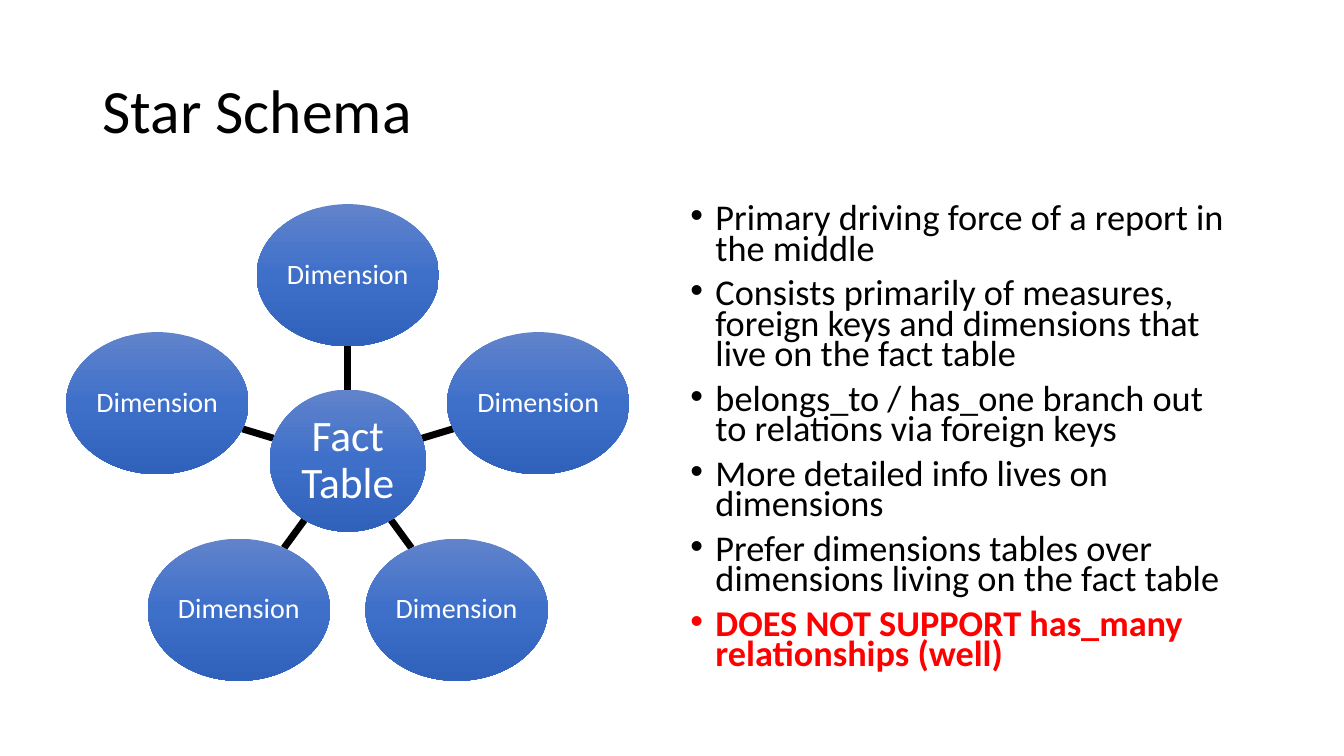
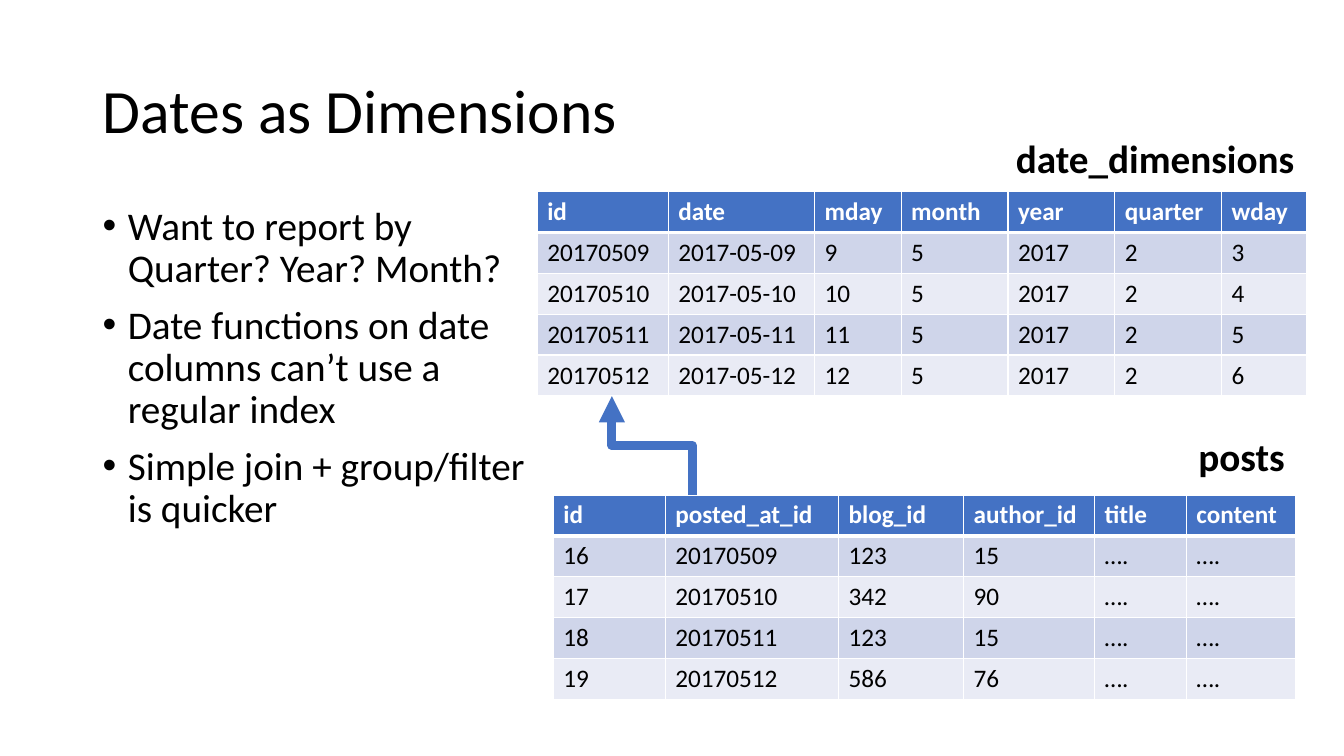
from math import hypot

from pptx import Presentation
from pptx.dml.color import RGBColor as RGB
from pptx.enum.shapes import MSO_CONNECTOR as CXN, MSO_SHAPE as SHAPE
from pptx.enum.text import MSO_ANCHOR as ANCHOR, MSO_AUTO_SIZE as AUTO, PP_ALIGN as ALIGN
from pptx.oxml import parse_xml
from pptx.oxml.ns import nsdecls
from pptx.util import Emu, Pt

PX = 9144  # 100 px to the inch


class Theme:
    font = "Calibri"
    black, white, red = (RGB.from_string(c) for c in ("000000", "FFFFFF", "FF0000"))
    blue = RGB.from_string("4472C4")
    bands = [RGB.from_string(c) for c in ("E9EBF5", "CFD5EA")]
    gradient = ((0, "6183CB"), (50, "3E70CA"), (100, "3062BB"))
    title = {"size": Pt(44)}
    label = {"size": Pt(28), "bold": True}
    body = {"size": Pt(28)}
    dense = {"size": Pt(25.9)}
    warning = {"size": Pt(25.9), "bold": True, "color": red}
    hub = {"size": Pt(31), "color": white}
    dimension = {"size": Pt(20), "color": white}
    cell = {"size": Pt(18)}
    header = {"size": Pt(18), "bold": True, "color": white}


def write(tf, lines, para=None, bullet=False):
    """Fill a text frame with (text, font format) paragraphs."""
    for i, (text, fmt) in enumerate(lines):
        p = tf.add_paragraph() if i else tf.paragraphs[0]
        for name, value in (para or {}).items():
            setattr(p, name, value)
        if bullet:
            pPr = p._p.get_or_add_pPr()
            pPr.set("marL", str(25 * PX))
            pPr.set("indent", str(-25 * PX))
            pPr.append(parse_xml(f'<a:buFont {nsdecls("a")} typeface="Arial"/>'))
            pPr.append(parse_xml(f'<a:buChar {nsdecls("a")} char="•"/>'))
        r = p.add_run()
        r.text = text
        r.font.color.rgb = fmt.get("color", Theme.black)
        for name, value in {"name": Theme.font, **fmt}.items():
            if name != "color":
                setattr(r.font, name, value)


def connect(s, kind, ends, color, width):
    """Draw a flat connector between two points in px."""
    cx = s.shapes.add_connector(kind, *(Emu(round(v * PX)) for v in ends))
    cx.line.color.rgb = color
    cx.line.width = Pt(width)
    cx._element.spPr.append(parse_xml(f'<a:effectLst {nsdecls("a")}/>'))
    return cx


prs = Presentation()
prs.slide_width, prs.slide_height = Emu(12192000), Emu(6858000)

# Titles and bullet lists
pages = [
    ("Star Schema", (675, 200, 567, 476), 0.7, [
        ("Primary driving force of a report in the middle", Theme.dense),
        ("Consists primarily of measures, foreign keys and dimensions that live on the fact table",
         Theme.dense),
        ("belongs_to / has_one branch out to relations via foreign keys", Theme.dense),
        ("More detailed info lives on dimensions", Theme.dense),
        ("Prefer dimensions tables over dimensions living on the fact table", Theme.dense),
        ("DOES NOT SUPPORT has_many relationships (well)", Theme.warning)]),
    ("Dates as Dimensions", (92, 200, 446, 476), 0.9, [
        ("Want to report by Quarter? Year? Month?", Theme.body),
        ("Date functions on date columns can’t use a regular index", Theme.body),
        ("Simple join + group/filter is quicker", Theme.body)]),
]
for title, box, spacing, bullets in pages:
    s = prs.slides.add_slide(prs.slide_layouts[6])
    tf = s.shapes.add_textbox(*(v * PX for v in (92, 40, 1150, 145))).text_frame
    tf.word_wrap, tf.vertical_anchor = True, ANCHOR.MIDDLE
    write(tf, [(title, Theme.title)], {"line_spacing": 0.9})
    tf = s.shapes.add_textbox(*(v * PX for v in box)).text_frame
    tf.word_wrap = True
    write(tf, bullets, {"line_spacing": spacing, "space_before": Pt(10)}, bullet=True)
star, dates = prs.slides

# Star: spokes from the edge of the hub to the edge of each dimension
hub_x, hub_y = 345, 457
hub_w, dim_w, oval_h = 155, 181, 141
offsets = [(0, -184), (189, -57), (108, 148), (-108, 148), (-189, -57)]
for dx, dy in offsets:
    start = 1 / hypot(dx / (hub_w / 2), dy / (oval_h / 2))
    end = 1 - 1 / hypot(dx / (dim_w / 2), dy / (oval_h / 2))
    connect(star, CXN.STRAIGHT, (hub_x + dx * start, hub_y + dy * start,
                                 hub_x + dx * end, hub_y + dy * end), Theme.black, 5)

# Star: ovals
ovals = [(0, 0, hub_w, "Fact Table", Theme.hub)]
ovals += [(dx, dy, dim_w, "Dimension", Theme.dimension) for dx, dy in offsets]
stops = "".join(f'<a:gs pos="{pos * 1000}"><a:srgbClr val="{c}"/></a:gs>'
                for pos, c in Theme.gradient)
for dx, dy, w, text, fmt in ovals:
    sp = star.shapes.add_shape(SHAPE.OVAL, *(round(v * PX) for v in (
        hub_x + dx - w / 2, hub_y + dy - oval_h / 2, w, oval_h)))
    sp.shadow.inherit = False
    sp.line.fill.background()
    sp._element.spPr.prstGeom.addnext(parse_xml(
        f'<a:gradFill {nsdecls("a")} rotWithShape="1"><a:gsLst>{stops}</a:gsLst>'
        '<a:lin ang="5400000" scaled="0"/></a:gradFill>'))
    tf = sp.text_frame
    tf.word_wrap, tf.vertical_anchor = True, ANCHOR.MIDDLE
    for side in ("left", "top", "right", "bottom"):
        setattr(tf, f"margin_{side}", PX)
    write(tf, [(text, fmt)], {"alignment": ALIGN.CENTER, "line_spacing": 0.9})

# Dates: tables
days = range(9, 13)
posts = [("16", "123", "15"), ("17", "342", "90"), ("18", "123", "15"), ("19", "586", "76")]
row_h = 41
tables = [
    (533, 190, (130, 145, 86, 106, 106, 106, 84),
     [("id", "date", "mday", "month", "year", "quarter", "wday")]
     + [(f"201705{d:02}", f"2017-05-{d:02}", str(d), "5", "2017", "2", str(d - 6))
        for d in days]),
    (549, 491, (111, 172, 124, 130, 91, 108),
     [("id", "posted_at_id", "blog_id", "author_id", "title", "content")]
     + [(key, f"201705{d:02}", blog, author, "….", "….")
        for d, (key, blog, author) in zip(days, posts)]),
]
for x, y, widths, rows in tables:
    tbl = dates.shapes.add_table(len(rows), len(widths), *(
        v * PX for v in (x, y, sum(widths), row_h * len(rows)))).table
    for col, w in zip(tbl.columns, widths):
        col.width = w * PX
    for i, row in enumerate(rows):
        tbl.rows[i].height = Emu(370840)
        for j, text in enumerate(row):
            cell = tbl.cell(i, j)
            tcPr = cell._tc.get_or_add_tcPr()
            for side in "LRTB":
                pt = 3 if (i, side) in ((0, "B"), (1, "T")) else 1
                tcPr.append(parse_xml(
                    f'<a:ln{side} {nsdecls("a")} w="{Pt(pt)}"><a:solidFill>'
                    f'<a:srgbClr val="{Theme.white}"/></a:solidFill></a:ln{side}>'))
            cell.fill.solid()
            cell.fill.fore_color.rgb = Theme.bands[i % 2] if i else Theme.blue
            write(cell.text_frame, [(text, Theme.cell if i else Theme.header)])

# Dates: arrow from posted_at_id up to the date id, an elbow turned upright
cx = connect(dates, CXN.ELBOW, (598, 482, 696, 402), Theme.blue, 6.25)
cx._element.spPr.xfrm.set("rot", "16200000")
cx.line._get_or_add_ln().append(parse_xml(f'<a:tailEnd {nsdecls("a")} type="triangle"/>'))

# Dates: table names
for text, box in (("date_dimensions", (998, 128, 299, 57)), ("posts", (1179, 424, 107, 57))):
    tf = dates.shapes.add_textbox(*(v * PX for v in box)).text_frame
    tf.word_wrap, tf.auto_size = False, AUTO.SHAPE_TO_FIT_TEXT
    write(tf, [(text, Theme.label)])

prs.save("out.pptx")
